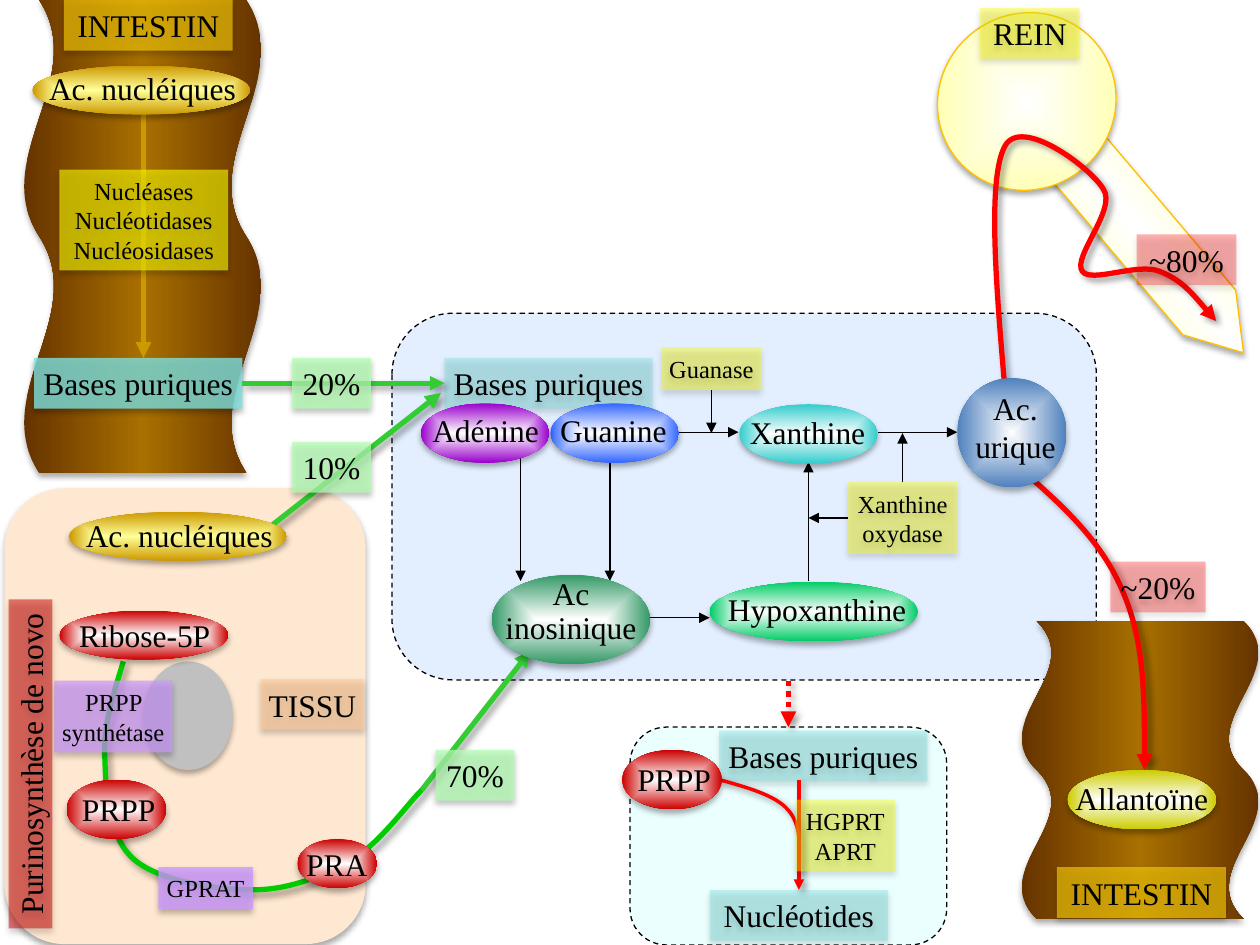
import pptx
import pptx.util
import pptx.oxml
import pptx.oxml.ns
import pptx.dml.color
import pptx.enum.dml
import pptx.enum.shapes
import pptx.enum.text

Pt = pptx.util.Pt
rgb = pptx.dml.color.RGBColor.from_string
Kind = pptx.enum.shapes.MSO_SHAPE
Dash = pptx.enum.dml.MSO_LINE
names = pptx.oxml.ns.nsdecls("a")
qn = pptx.oxml.ns.qn
load = pptx.oxml.parse_xml

cast = (f'<a:outerShdw {names} blurRad="%d" dist="%d" dir="%d" rotWithShape="0">'
        '<a:srgbClr val="000000"><a:alpha val="%d"/></a:srgbClr></a:outerShdw>')
soft = cast % (Pt(3.5), Pt(2.2), 5400000, 32000)
hard = cast % (Pt(4), Pt(3), 2700000, 40000)
glow = '<a:path path="shape"><a:fillToRect l="50000" t="50000" r="50000" b="50000"/></a:path>'
down = '<a:lin ang="5400000" scaled="0"/>'
flat = '<a:lin ang="0" scaled="0"/>'

deck = pptx.Presentation()
deck.slide_width, deck.slide_height = Pt(720), Pt(540)
slide = deck.slides.add_slide(deck.slide_layouts[6])


def draw(kind, box, fill=None, text="", alpha=100, size=18, spin=0,
         ramp=glow, edge=None, dash=None, shade=True, space=1):
    place = [Pt(n) for n in box]
    if kind is None:
        item = slide.shapes.add_textbox(*place)
    else:
        item = slide.shapes.add_shape(kind, *place)
        item.rotation = spin
        item.shadow.inherit = False
        if shade:
            item._element.xpath(".//a:effectLst")[0].append(load(soft))
        if isinstance(fill, str):
            item.fill.solid()
            item.fill.fore_color.rgb = rgb(fill)
            tint = item._element.xpath("./p:spPr/a:solidFill/a:srgbClr")[0]
            tint.append(load(f'<a:alpha {names} val="{alpha * 1000}"/>'))
        else:
            item.fill.background()
            stops = "".join(
                f'<a:gs pos="{100000 * i // (len(fill) - 1)}"><a:srgbClr val="{tone}"/></a:gs>'
                for i, tone in enumerate(fill))
            blank = item._element.xpath("./p:spPr/a:noFill")[0]
            blank.getparent().replace(blank, load(
                f'<a:gradFill {names} rotWithShape="1"><a:gsLst>{stops}</a:gsLst>{ramp}</a:gradFill>'))
        if edge:
            item.line.color.rgb = rgb(edge)
            item.line.width = Pt(0.75)
            item.line.dash_style = dash
        else:
            item.line.fill.background()
    frame = item.text_frame
    frame.word_wrap = True
    frame.margin_left = frame.margin_right = Pt(3)
    frame.margin_top = frame.margin_bottom = 0
    frame.vertical_anchor = pptx.enum.text.MSO_ANCHOR.MIDDLE
    for i, part in enumerate(text.split("\n") if text else []):
        para = frame.add_paragraph() if i else frame.paragraphs[0]
        para.alignment = pptx.enum.text.PP_ALIGN.CENTER
        para.line_spacing = space
        run = para.add_run()
        run.text = part
        run.font.name = "Times New Roman"
        run.font.size = Pt(size)
        run.font.color.rgb = rgb("000000")
    return item


def wire(spots, tone="000000", width=0.75, tail=True, shade=False, dash=None):
    spots = [(Pt(x), Pt(y)) for x, y in spots]
    if len(spots) == 2:
        item = slide.shapes.add_connector(
            pptx.enum.shapes.MSO_CONNECTOR.STRAIGHT, *spots[0], *spots[1])
    else:
        pen = slide.shapes.build_freeform(*spots[0])
        pen.add_line_segments(spots[1:], close=False)
        item = pen.convert_to_shape()
        item.fill.background()
        legs = item._element.xpath(".//a:lnTo")
        for i, leg in enumerate(legs):
            if i % 3 == 0:
                head = leg
                head.tag = qn("a:cubicBezTo")
            else:
                head.append(leg[0])
                leg.getparent().remove(leg)
    item.line.color.rgb = rgb(tone)
    item.line.width = Pt(width)
    if dash:
        item.line.dash_style = dash
    if tail:
        item._element.xpath("./p:spPr/a:ln")[0].append(load(f'<a:tailEnd {names} type="triangle"/>'))
    cover = load(f"<a:effectLst {names}/>")
    if shade:
        cover.append(load(hard))
    item._element.spPr.append(cover)
    return item


draw(Kind.ROUNDED_RECTANGLE, (224, 179, 402.5, 209.5), "DDEBFF", alpha=80,
     edge="000000", dash=Dash.DASH, shade=False)
draw(Kind.ROUNDED_RECTANGLE, (2.5, 279, 206.5, 260.5), "FFE8D1")
draw(Kind.OVAL, (82, 378, 51, 62), "C0C0C0")
for box in ((-53.5, 67, 270, 136), (566.5, 372, 170, 136)):
    wave = draw(Kind.DOUBLE_WAVE, box, ("663300", "A87000", "663300"), spin=90, ramp=down)
    wave.adjustments[0] = 0.065
draw(Kind.FLOWCHART_OFFPAGE_CONNECTOR, (642, 68.5, 39.5, 151), ("FFFF99", "FFFFFF", "FFFF99"),
     spin=319.7, ramp=flat, edge="FFC000")
draw(Kind.OVAL, (535, 8, 103.5, 100), ("FFFFFF", "FFFF99"), spin=319.7, edge="FFC000")
pool = draw(Kind.ROUNDED_RECTANGLE, (360, 415.5, 181, 124.5), "EBFFFF",
            edge="000000", dash=Dash.DASH, shade=False)

gut, base, lower, end, oxy, guan = [
    draw(Kind.RECTANGLE, box, tone, text, alpha, size) for text, box, tone, alpha, size in (
        ("Bases puriques", (19.5, 204.5, 119, 29), "7FE1DF", 80, 18),
        ("Bases puriques", (254, 204.5, 119, 29), "7FE1DF", 40, 18),
        ("Bases puriques", (411, 417.5, 119, 29), "7FE1DF", 40, 18),
        ("Nucléotides", (405.5, 508.5, 102, 29), "7FE1DF", 40, 18),
        ("Xanthine oxydase", (484.5, 275.5, 62.5, 41), "FFFF00", 40, 14),
        ("Guanase", (378, 198.5, 57, 24.5), "FFFF00", 40, 14))]

feed = wire([(138.5, 219), (254, 219)], "33CC33", 2.75, shade=True)
feed.begin_connect(gut, 3)
feed.end_connect(base, 1)
for spots in ([(150.5, 304), (252, 224.5)], [(241, 451.5), (303, 372)]):
    wire(spots, "33CC33", 3, shade=True)
for spots in (
        [(297.5, 258.5), (297.5, 332)], [(348.5, 258.5), (348.5, 332)],
        [(388, 247), (422, 247)], [(371.5, 353), (405.5, 353)],
        [(462, 332), (462, 264)], [(502, 247), (547, 247)]):
    wire(spots)
for spots, rect, side in (
        ([(484.5, 296), (462, 296)], oxy, 1),
        ([(515.75, 275.5), (515.75, 247.5)], oxy, 0),
        ([(406.5, 223), (406.5, 247.5)], guan, 2)):
    wire(spots).begin_connect(rect, side)
wire([(82, 52), (82, 204.5)], "CC9900", 3)
wire([(450.5, 389), (450.5, 415.5)], "FF0000", 3, shade=True,
     dash=Dash.ROUND_DOT).end_connect(pool, 0)
wire([(456.5, 445.5), (456.5, 508.5)], "FF0000", 2, shade=True).end_connect(end, 0)

wire([(70.5, 378), (65, 396.5), (58.5, 415.5), (60, 434), (60.5, 453.5), (62.5, 479),
      (76.5, 491), (90.5, 503.5), (124, 508.5), (144.5, 508.5), (165.5, 508.5),
      (185, 500.5), (201.5, 491), (217.5, 481.5), (234, 458), (241, 451.5)],
     "00CC00", 3, tail=False, shade=True)
wire([(574, 219), (569, 160.5), (564.5, 103), (574, 84), (583, 65.5), (623.5, 96),
      (630.5, 108), (638.5, 119.5), (612.5, 147), (618.5, 155), (623.5, 162), (650, 150),
      (662.5, 155), (675.5, 160), (684.5, 171.5), (695, 183.5)], "FF0000", 3, shade=True)
wire([(585.5, 270), (608.5, 290), (630.5, 310.5), (642, 339), (654, 367), (654, 404),
      (654, 440)], "FF0000", 3, shade=True)
wire([(411, 445.5), (427, 450), (443.5, 454.5), (450.5, 463), (458, 471.5), (457, 484),
      (456.5, 497)], "FF0000", 2, tail=False, shade=True)

for text, oval, box, core, rim, space in (
        ("Guanine", (314.5, 230.5, 73.5, 34), (308, 231, 85, 29), "FFFFFF", "3366FF", 1),
        ("Adénine", (240.5, 230.5, 73.5, 34), (238, 231, 79, 29), "FFFFFF", "9900CC", 1),
        ("Ac inosinique", (281, 328.5, 90.5, 51), (281, 327, 90.5, 46), "FFFFFF", "339966", 0.9),
        ("Ac. nucléiques", (39.5, 292.5, 124.5, 28), (37.5, 291, 130, 29), "FFFF99", "CC9900", 1),
        ("Ac. nucléiques", (18.5, 37.5, 124.5, 28), (16.5, 35.5, 130, 29), "FFFF99", "CC9900", 1),
        ("Ribose-5P", (34, 349, 96.5, 28), (34.5, 348, 96.5, 29), "FFFFFF", "CC0000", 1),
        ("PRPP", (38, 445.5, 57, 34), (31, 448, 73.5, 29), "FFFFFF", "CC0000", 1),
        ("PRA", (170, 479.5, 45.5, 28), (167, 479, 51, 29), "FFFFFF", "CC0000", 1),
        ("PRPP", (355.5, 428.5, 57, 34), (348.5, 430.5, 73.5, 29), "FFFFFF", "CC0000", 1),
        ("Xanthine", (422.5, 231, 79, 34), (422, 232.5, 79, 29), "FFFFFF", "33CCCC", 1),
        ("Hypoxanthine", (405.5, 332.5, 119, 34), (410, 333.5, 114, 29), "FFFFFF", "00CC66", 1),
        ("Ac. urique", (547, 216, 62.5, 62.5), (549, 219, 62.5, 50), "FFFFFF", "4F81BD", 1),
        ("Allantoïne", (610, 440, 85, 34), (610, 441.5, 85, 29), "FFFFFF", "CCCC00", 1)):
    draw(Kind.OVAL, oval, (core, rim))
    draw(None, box, text=text, space=space)

for text, box, tone, alpha, size, spin in (
        ("10%", (167, 252.5, 45, 29), "B3FFB3", 73, 18, 0),
        ("20%", (167, 204.5, 45, 29), "B3FFB3", 73, 18, 0),
        ("70%", (249, 428.5, 45, 29), "B3FFB3", 72, 18, 0),
        ("~80%", (649.5, 134, 57, 29), "FF0000", 30, 18, 0),
        ("~20%", (634.5, 321, 54.5, 29), "FF0000", 30, 18, 0),
        ("PRPP synthétase", (31, 389, 67.5, 41), "CC99FF", 70, 14, 0),
        ("GPRAT", (90.5, 495.5, 54, 24), "CC99FF", 80, 14, 0),
        ("Nucléases\nNucléotidases\nNucléosidases", (34, 97, 96.5, 57.5), "FFFF00", 60, 14, 0),
        ("REIN", (560, 4.5, 57, 29), "FFFF00", 40, 18, 0),
        ("INTESTIN", (36.5, 0, 96.5, 29), "FFD009", 63, 18, 0),
        ("INTESTIN", (604, 495.5, 96.5, 29), "FFD009", 63, 18, 0),
        ("TISSU", (149, 388, 59, 29), "FFCC99", 60, 18, 0),
        ("Purinosynthèse de novo", (-76.5, 424, 188, 25), "CC0000", 50, 18, 270),
        ("HGPRT\nAPRT", (454.5, 457, 57, 41), "FFFF00", 40, 14, 0)):
    draw(Kind.RECTANGLE, box, tone, text, alpha, size, spin)

deck.save("out.pptx")
